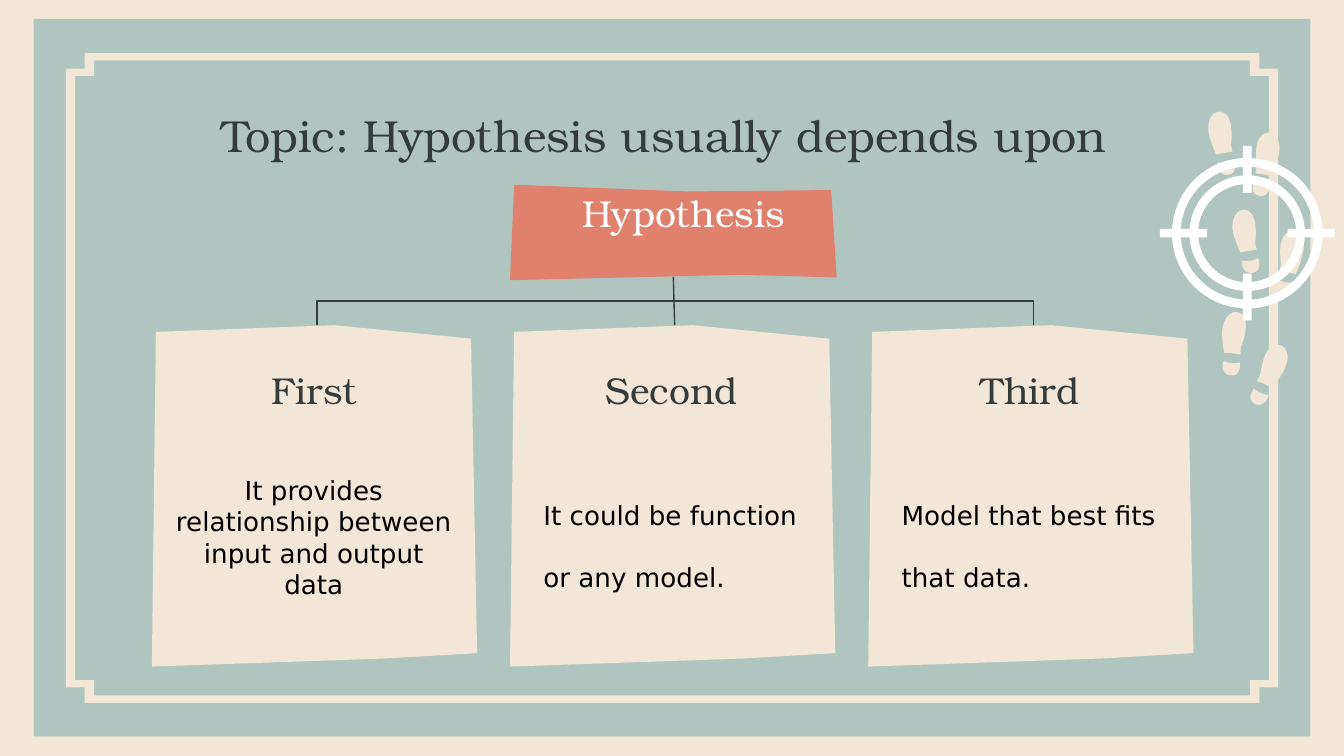
"""Build the slide on what a hypothesis depends upon, on a grid of 100 columns of a tenth of an inch."""
import math
from dataclasses import dataclass

from pptx import Presentation
from pptx import util as u
from pptx.dml.color import RGBColor
from pptx.enum import shapes, text
from pptx.oxml import ns, xmlchemy

COLS, ROWS = 100, 56.25
CARD_LEFT, CARD_STEP, CARD_TOP = 11.3, 26.65, 24.2


@dataclass(frozen=True)
class Theme:
    """Colours, fonts and type sizes."""
    sand: str = "F2E7D6"
    sage: str = "B0C5C0"
    coral: str = "E0816E"
    ink: str = "333B3B"
    black: str = "000000"
    white: str = "FFFFFF"
    serif: str = "TeX Gyre Bonum"
    sans: str = "DejaVu Sans"
    title: int = 24
    heading: int = 20
    body: int = 14
    line: float = 0.75


T = Theme()
CARDS = [
    ("First", "It provides relationship between input and output data"),
    ("Second", "It could be function or any model."),
    ("Third", "Model that best fits that data."),
]
CARD_SHAPE = [(24.2, 24.4), (23.75, 1), (13.6, 0), (0.3, 0.5), (0, 25.4), (17.4, 24.8)]
BANNER = [(62.2, 20.6), (61.8, 14.2), (51.1, 14.3), (38.3, 13.8), (38, 20.8), (55.1, 20.4)]
FOOTPRINTS = [
    [(0, 0), (-.8, .1, -1.2, -.2, -1.2, -.2), (-1.2, -.2, -1.3, .1, -1.3, .4),
     (-1.3, .6, -1.1, .8, -.8, .9), (0, 1, 0, 0, 0, 0)],
    [(.7, -2.8), (.6, -3.8, -.3, -4.2, -.8, -3.4), (-1.2, -2.7, -1, -1.8, -1, -1.3),
     (-1.1, -.8), (-.2, -.7, .1, -.6, .1, -.6), (.1, -.6, .7, -1.8, .7, -2.7)],
    [(-2.6, -1.4), (-2.6, -1.6, -2.7, -1.8, -2.7, -1.8),
     (-2.7, -1.8, -3.1, -1.5, -3.9, -1.6), (-3.9, -1.6, -3.9, -1.5, -3.9, -1.4),
     (-3.9, -1.2, -3.7, -.6, -3.1, -.7), (-2.6, -.8, -2.6, -1.1, -2.6, -1.4)],
    [(-2.9, -4.2), (-2.9, -4.5, -3, -4.7, -3.1, -5), (-3.7, -5.8, -4.6, -5.3, -4.6, -4.2),
     (-4.6, -4.1, -4.6, -4.1, -4.6, -4), (-4.5, -3.2, -4, -2.2, -4, -2.2),
     (-4, -2.2, -3.7, -2.3, -2.8, -2.4), (-2.9, -2.9),
     (-2.9, -3.2, -2.8, -3.7, -2.9, -4.2)],
]
STEPS = [(96.3, 21, 0), (94.5, 13.7, 0), (94.4, 29.4, 14.7)]


def grid(*cells):
    """Convert grid cells to lengths."""
    return [u.Inches(c / 10) for c in cells]


def paint(sp, color, outline=False):
    """Give a shape a flat fill without shadow."""
    sp.shadow.inherit = False
    sp.fill.solid()
    sp.fill.fore_color.rgb = RGBColor.from_string(color)
    if outline:
        sp.line.color.rgb = RGBColor.from_string(color)
        sp.line.width = u.Pt(T.line)
    else:
        sp.line.fill.background()
    return sp


def add_preset(parent, kind, box, color):
    """Add a flat preset shape."""
    return paint(parent.add_shape(kind, *grid(*box)), color)


def add_outline(parent, contours, color, outline=False):
    """Add a freeform made of closed contours."""
    builder = parent.build_freeform(*grid(*contours[0][0]))
    for i, contour in enumerate(contours):
        if i:
            builder.move_to(*grid(*contour[0]))
        builder.add_line_segments([grid(*pt) for pt in contour[1:]], close=True)
    return paint(builder.convert_to_shape(), color, outline)


def notched(left, top, notch_x, notch_y):
    """Return a centred rectangle with stepped corners."""
    right, bottom = COLS - left, ROWS - top
    corners = [(left, top, 1, 1), (right, top, -1, 1),
               (right, bottom, -1, -1), (left, bottom, 1, -1)]
    pts = []
    for x, y, sx, sy in corners:
        dx, dy = sx * notch_x, sy * notch_y
        step = [(x, y + dy), (x + dx, y + dy), (x + dx, y)]
        pts += step if sx == sy else step[::-1]
    return pts


def flatten(start, *segments, parts=8):
    """Turn lines and cubic curves into points."""
    pts = [start]
    for seg in segments:
        if len(seg) == 2:
            pts.append(seg)
            continue
        knots = [pts[-1], seg[:2], seg[2:4], seg[4:]]
        for i in range(1, parts + 1):
            t = i / parts
            weights = [math.comb(3, k) * t ** k * (1 - t) ** (3 - k) for k in range(4)]
            pts.append(tuple(sum(w * k[axis] for w, k in zip(weights, knots))
                             for axis in (0, 1)))
    return pts


def add_footprints(parent, x, y, angle):
    """Add a pair of footprints turned by an angle."""
    cos, sin = math.cos(math.radians(angle)), math.sin(math.radians(angle))
    for sole in FOOTPRINTS:
        pts = [(x + a * cos - b * sin, y + a * sin + b * cos) for a, b in flatten(*sole)]
        add_outline(parent, [pts], T.sand)


def add_target(parent, x, y):
    """Add crosshairs of two rings and four bars."""
    width, near, far = 0.65, 3, 6.5
    for radius in (5.6, 4.3):
        ring = add_preset(parent, shapes.MSO_SHAPE.DONUT,
                          (x - radius, y - radius, 2 * radius, 2 * radius), T.white)
        ring.adjustments[0] = width / (2 * radius)
    for start in (-far, near):
        rect = shapes.MSO_SHAPE.RECTANGLE
        add_preset(parent, rect, (x + start, y - width / 2, far - near, width), T.white)
        add_preset(parent, rect, (x - width / 2, y + start, width, far - near), T.white)


def write(sp, words, size, color, font=T.serif, anchor=text.MSO_ANCHOR.MIDDLE,
          align=text.PP_ALIGN.CENTER, spacing=1.0):
    """Write one formatted paragraph in a shape."""
    tf = sp.text_frame
    tf.word_wrap, tf.auto_size = True, text.MSO_AUTO_SIZE.NONE
    tf.vertical_anchor = anchor
    tf.margin_left = tf.margin_right = tf.margin_top = tf.margin_bottom = u.Inches(0.1)
    p = tf.paragraphs[0]
    p.text, p.alignment, p.line_spacing = words, align, spacing
    p.font.size, p.font.name = u.Pt(size), font
    p.font.color.rgb = RGBColor.from_string(color)


def add_title(slide, words, box):
    """Format the title and bring it to the front."""
    sp = slide.shapes.title
    sp.left, sp.top, sp.width, sp.height = grid(*box)
    write(sp, words, T.title, T.ink)
    sp.element.getparent().append(sp.element)


def add_card(slide, index, heading, body):
    """Add a paper card with its heading and body."""
    x = CARD_LEFT + index * CARD_STEP
    add_outline(slide.shapes, [[(x + a, CARD_TOP + b) for a, b in CARD_SHAPE]], T.sand)
    write(slide.shapes.add_textbox(*grid(x + 1.5, 27, 21.1, 4)), heading, T.heading, T.ink)
    first = index == 0
    box = (x + 0.8, 34.3, 22.5, 12.1) if first else (x + 1.5, 33.8, 21.1, 11.4)
    write(slide.shapes.add_textbox(*grid(*box)), body, T.body, T.black, T.sans,
          text.MSO_ANCHOR.TOP, text.PP_ALIGN.CENTER if first else text.PP_ALIGN.LEFT,
          1.0 if first else 2.0)


def add_branch(slide, x1, y1, x2, y2):
    """Join two points, by an upright elbow when they are far apart."""
    kind, ends, turn = shapes.MSO_CONNECTOR.STRAIGHT, (x1, y1, x2, y2), None
    if abs(x2 - x1) > 1:
        side = 1 if x2 > x1 else -1
        mx, my, half_w, half_h = (x1 + x2) / 2, (y1 + y2) / 2, (y2 - y1) / 2, abs(x2 - x1) / 2
        kind = shapes.MSO_CONNECTOR.ELBOW
        ends = (mx + side * half_w, my - half_h, mx - side * half_w, my + half_h)
        turn = 270 if side > 0 else 90
    line = slide.shapes.add_connector(kind, *grid(*ends))
    line.line.color.rgb = RGBColor.from_string(T.ink)
    line.line.width = u.Pt(T.line)
    props = line.element.spPr
    if turn:
        props.find(ns.qn("a:xfrm")).set("rot", str(turn * 60000))
    props.append(xmlchemy.OxmlElement("a:effectLst"))


def main():
    """Build and save the slide."""
    prs = Presentation()
    prs.slide_width, prs.slide_height = grid(COLS, ROWS)
    slide = prs.slides.add_slide(prs.slide_layouts[5])
    slide.background.fill.solid()
    slide.background.fill.fore_color.rgb = RGBColor.from_string(T.sand)
    add_preset(slide.shapes, shapes.MSO_SHAPE.RECTANGLE, (2.5, 1.4, 95, 53.4), T.sage)
    add_outline(slide.shapes, [notched(4.9, 3.95, 1.4, 1.15),
                               notched(5.6, 4.5, 1.4, 1.15)], T.sand)
    add_outline(slide.shapes, [BANNER], T.coral, outline=True)
    add_title(slide, "Topic: Hypothesis usually depends upon", (7.9, 6, 83, 8.1))
    write(slide.shapes.add_textbox(*grid(41.4, 14.1, 18.9, 3.5)),
          "Hypothesis", T.heading, T.white)
    for i, (heading, body) in enumerate(CARDS):
        add_card(slide, i, heading, body)
    for x in (23.6, 76.9, 50.2):
        add_branch(slide, 50.1, 20.6, x, CARD_TOP)
    prints = slide.shapes.add_group_shape().shapes
    for step in STEPS:
        add_footprints(prints, *step)
    add_target(slide.shapes.add_group_shape().shapes, 92.8, 17.35)
    prs.save("out.pptx")


if __name__ == "__main__":
    main()
